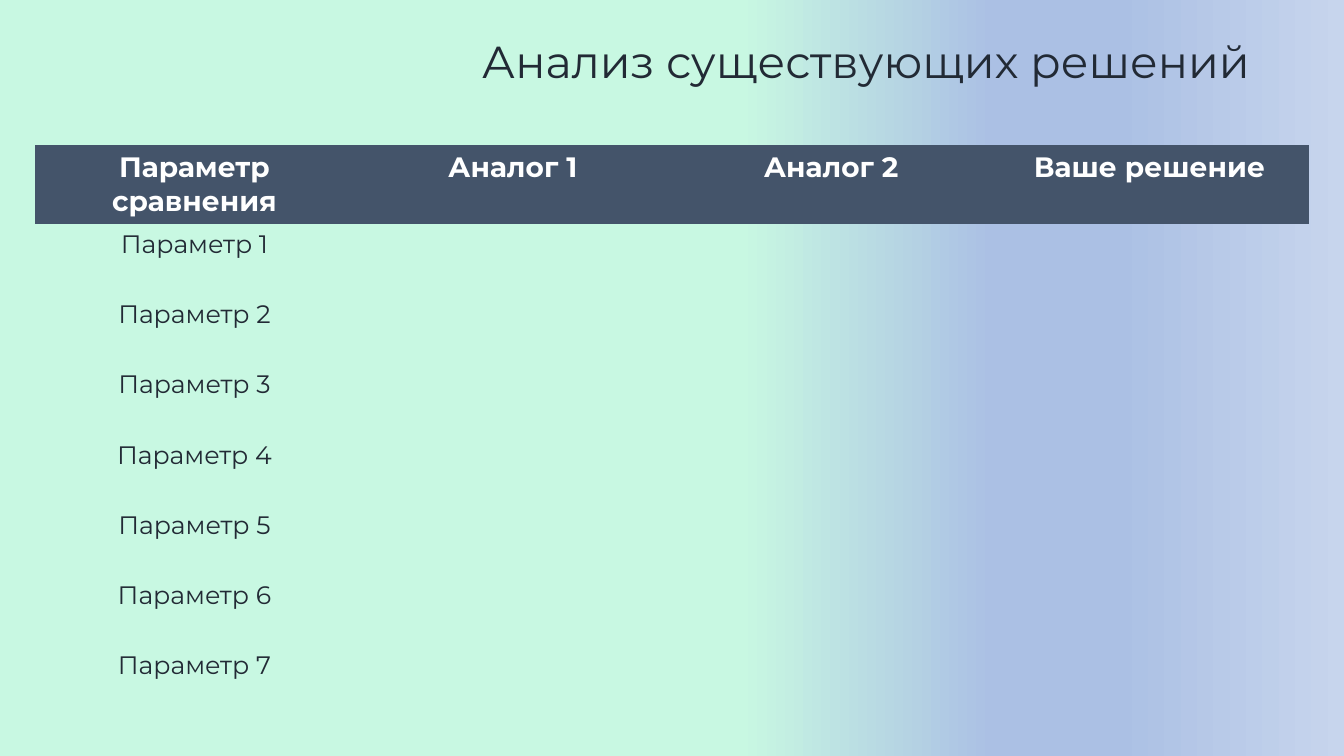
from lxml.etree import SubElement
from pptx import Presentation
from pptx.dml.color import RGBColor
from pptx.enum.text import MSO_ANCHOR, MSO_AUTO_SIZE, PP_ALIGN
from pptx.oxml.ns import qn
from pptx.util import Inches, Pt

MINT = RGBColor(0xC8, 0xF8, 0xE2)
PERIWINKLE = RGBColor(0xAB, 0xC0, 0xE4)
PALE_BLUE = RGBColor(0xC7, 0xD5, 0xED)
SLATE = RGBColor(0x44, 0x54, 0x6A)
INK = RGBColor(0x22, 0x2A, 0x35)
WHITE = RGBColor(0xFF, 0xFF, 0xFF)

FONT = "Montserrat"
PLAIN_TABLE_STYLE = "{2D5ABB26-0587-4C30-8999-92F81FD0307C}"
BACKGROUND_STOPS = [(55, MINT), (74, PERIWINKLE), (83, PERIWINKLE), (100, PALE_BLUE)]
HEADINGS = ["Параметр сравнения", "Аналог 1", "Аналог 2", "Ваше решение"]
PARAMETERS = [f"Параметр {number}" for number in range(1, 8)]


def write_text(frame, text, size, color, bold=False, align=PP_ALIGN.LEFT):
    """Fill a text frame with one formatted paragraph."""
    paragraph = frame.paragraphs[0]
    paragraph.alignment = align
    run = paragraph.add_run()
    run.text = text
    run.font.name = FONT
    run.font.size = Pt(size)
    run.font.bold = bold
    run.font.color.rgb = color


def paint_background(slide, stops):
    """Give the slide a left-to-right gradient with the given stops."""
    fill = slide.background.fill
    fill.gradient()
    fill.gradient_angle = 0
    stop_list = slide.element.find(".//" + qn("a:gsLst"))
    for default_stop in list(stop_list):
        stop_list.remove(default_stop)
    for percent, color in stops:
        stop = SubElement(stop_list, qn("a:gs"), pos=str(percent * 1000))
        SubElement(stop, qn("a:srgbClr"), val=str(color))


def place_title(slide, text, left, top, width, height):
    """Move the title placeholder into its box and write the title."""
    title = slide.shapes.title
    title.left, title.top, title.width, title.height = left, top, width, height
    frame = title.text_frame
    frame.word_wrap = True
    frame.auto_size = MSO_AUTO_SIZE.NONE
    frame.vertical_anchor = MSO_ANCHOR.TOP
    write_text(frame, text, 32, INK)


def place_comparison(slide, headings, parameters, left, top, width, height):
    """Draw the comparison table with a dark header and open cells."""
    grid = slide.shapes.add_table(
        len(parameters) + 1, len(headings), left, top, width, height
    ).table
    grid.horz_banding = False
    slide.element.find(".//" + qn("a:tableStyleId")).text = PLAIN_TABLE_STYLE
    for cell in grid.iter_cells():
        cell.fill.background()
    for column, heading in enumerate(headings):
        cell = grid.cell(0, column)
        cell.fill.solid()
        cell.fill.fore_color.rgb = SLATE
        write_text(cell.text_frame, heading, 20, WHITE, bold=True, align=PP_ALIGN.CENTER)
    for row, parameter in enumerate(parameters, start=1):
        write_text(grid.cell(row, 0).text_frame, parameter, 18, INK, align=PP_ALIGN.CENTER)


def main():
    """Build the slide and save it."""
    deck = Presentation()
    deck.slide_width, deck.slide_height = Inches(13.33), Inches(7.5)
    slide = deck.slides.add_slide(deck.slide_layouts[5])
    paint_background(slide, BACKGROUND_STOPS)
    place_title(slide, "Анализ существующих решений",
                Inches(4.68), Inches(0.28), Inches(8.45), Inches(0.64))
    place_comparison(slide, HEADINGS, PARAMETERS,
                     Inches(0.35), Inches(1.44), Inches(12.63), Inches(5.58))
    deck.save("out.pptx")


if __name__ == "__main__":
    main()
